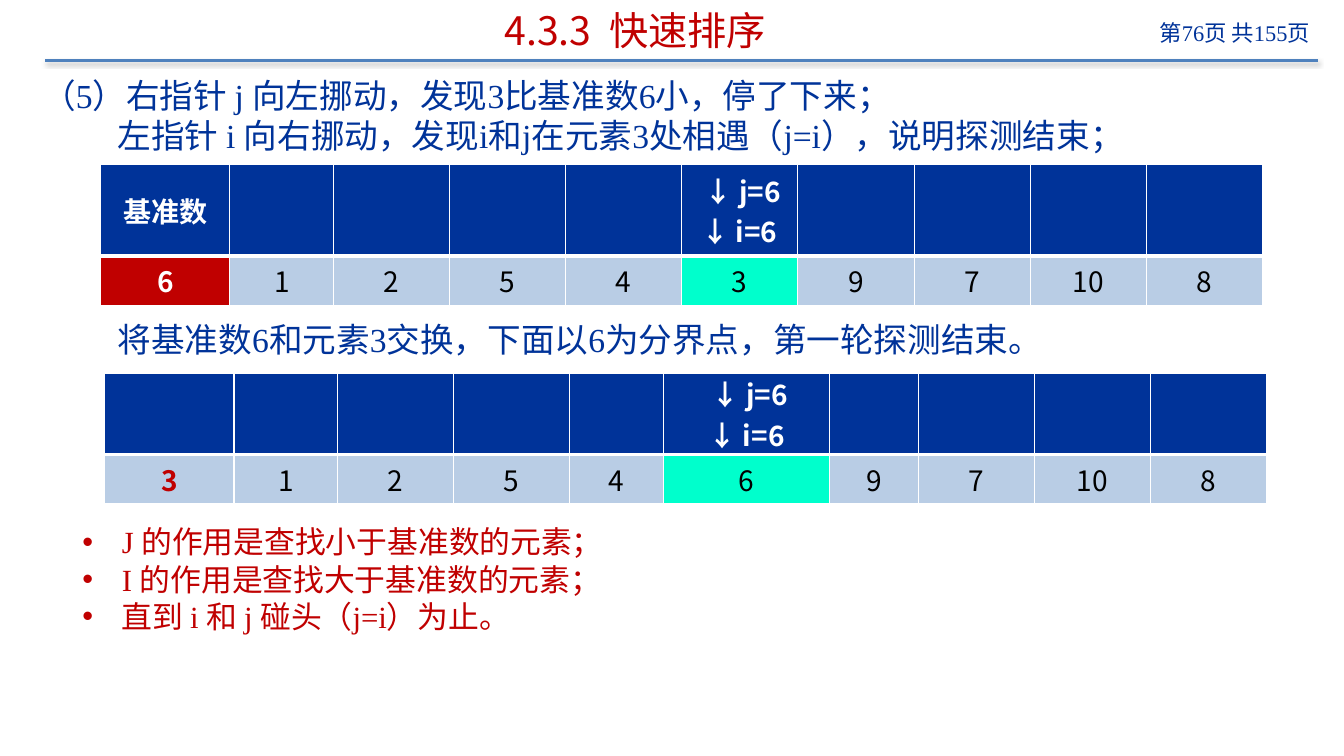
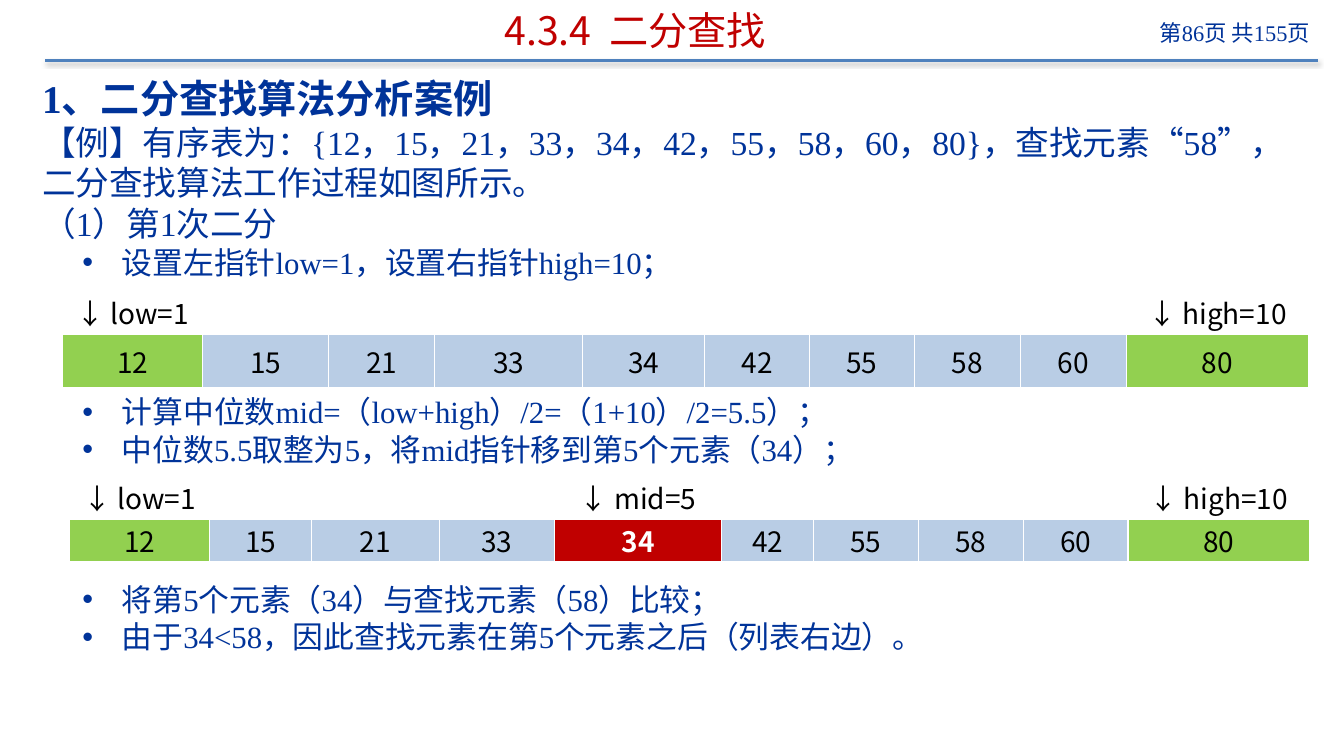
from lxml import etree
from pptx import Presentation
from pptx.dml.color import RGBColor
from pptx.enum.shapes import MSO_CONNECTOR
from pptx.enum.text import MSO_ANCHOR, PP_ALIGN
from pptx.oxml.ns import qn
from pptx.util import Emu, Pt

LEFT, CENTER, RIGHT = PP_ALIGN.LEFT, PP_ALIGN.CENTER, PP_ALIGN.RIGHT
TOP, MIDDLE = MSO_ANCHOR.TOP, MSO_ANCHOR.MIDDLE
STRAIGHT = MSO_CONNECTOR.STRAIGHT

EMU_PER_PX = 9144
SANS, SERIF = "Noto Sans CJK SC", "Times New Roman"
NAVY, RED, RULE_BLUE = "003399", "C00000", "4F81BD"
PALE, TEAL, GREEN = "B9CDE5", "00FFCC", "92D050"
WHITE, BLACK = "FFFFFF", "000000"
PAGE_COUNT = 155


def px(length):
    return Emu(length * EMU_PER_PX)


def rgb(color):
    return RGBColor.from_string(color)


def add_node(parent, tag, **attributes):
    node = etree.SubElement(parent, qn(tag))
    for name, value in attributes.items():
        node.set(name, str(value))
    return node


def write(paragraph, text, *, size=24, color=NAVY, font=SERIF, bold=False,
          align=LEFT, indent=0, hanging=0, bullet=False, space_before=0):
    """Fill one paragraph with text in the given format."""
    properties = paragraph._p.get_or_add_pPr()
    properties.set("marL", str(px(indent)))
    properties.set("indent", str(px(-hanging)))
    if bullet:
        add_node(properties, "a:buFont", typeface="Arial")
        add_node(properties, "a:buChar", char="•")
    paragraph.alignment = align
    paragraph.space_before = Pt(space_before)
    run = paragraph.add_run()
    run.text = text
    run.font.size = Pt(size)
    run.font.bold = bold
    run.font.color.rgb = rgb(color)
    run.font.name = font
    add_node(run._r.get_or_add_rPr(), "a:ea", typeface=SANS)


class Deck:
    """Holds the shared style and the slide being built."""

    HEADING = dict(size=28, bold=True)
    INDENTED = dict(indent=75)
    BULLET = dict(size=22, indent=79, hanging=39, bullet=True)
    RED_BULLET = dict(BULLET, color=RED)

    def __init__(self):
        self.presentation = Presentation()
        self.presentation.slide_width = px(1333)
        self.presentation.slide_height = px(750)
        self.slide = None

    def new_slide(self, title, page):
        layout = self.presentation.slide_layouts[6]
        self.slide = self.presentation.slides.add_slide(layout)
        self.rule(45, 60, 1307)
        self.text(1083, 14, 226, 45, [(f"第{page}页 共{PAGE_COUNT}页",
                                       dict(size=16, align=RIGHT))])
        self.text(77, 2, 1106, 56, [(title, dict(size=28, color=RED, font=SANS,
                                                 align=CENTER))], MIDDLE)

    def rule(self, left, top, right):
        line = self.slide.shapes.add_connector(
            STRAIGHT, px(left), px(top), px(right), px(top))
        line.line.color.rgb = rgb(RULE_BLUE)
        line.line.width = Pt(1.5)
        effects = add_node(line._element.spPr, "a:effectLst")
        shadow = add_node(effects, "a:outerShdw", blurRad=Pt(3.1), dist=Pt(1.6),
                          dir=5400000, rotWithShape=0)
        shade = add_node(shadow, "a:srgbClr", val=BLACK)
        add_node(shade, "a:alpha", val=38000)

    def text(self, left, top, width, height, lines, anchor=TOP):
        box = self.slide.shapes.add_textbox(px(left), px(top), px(width), px(height))
        frame = box.text_frame
        frame.word_wrap = True
        frame.vertical_anchor = anchor
        for index, (content, style) in enumerate(lines):
            paragraph = frame.add_paragraph() if index else frame.paragraphs[0]
            write(paragraph, content, space_before=0.3 if index else 0, **style)

    def body(self, top, height, lines):
        self.text(32, top, 1274, height, lines)

    def cell(self, cell, text, fill, color, bold, bottom):
        cell.margin_left = cell.margin_right = px(7)
        cell.margin_top = cell.margin_bottom = 0
        cell.vertical_anchor = MIDDLE
        properties = cell._tc.get_or_add_tcPr()
        for side, width in (("L", 1), ("R", 1), ("T", 1), ("B", bottom)):
            border = add_node(properties, f"a:ln{side}", w=Pt(width))
            add_node(add_node(border, "a:solidFill"), "a:srgbClr", val=WHITE)
        cell.fill.solid()
        cell.fill.fore_color.rgb = rgb(fill)
        frame = cell.text_frame
        for index, line in enumerate(text.splitlines()):
            paragraph = frame.add_paragraph() if index else frame.paragraphs[0]
            write(paragraph, line, size=20, color=color, font=SANS, bold=bold,
                  align=CENTER)

    def array(self, left, top, widths, heights, values, pointers, marks,
              header=(WHITE, BLACK, False)):
        """Pointer row over value row; marks give a column its (fill, colour, bold)."""
        table = self.slide.shapes.add_table(
            2, len(widths), px(left), px(top),
            px(sum(widths)), px(sum(heights))).table
        table.first_row = table.horz_banding = False
        for row, height in zip(table.rows, heights):
            row.height = px(height)
        for index, (width, value) in enumerate(zip(widths, values)):
            table.columns[index].width = px(width)
            self.cell(table.cell(0, index), pointers.get(index, ""), *header, 3)
            mark = marks.get(index, (PALE, BLACK, False))
            self.cell(table.cell(1, index), str(value), *mark, 1)


def build_quick_sort(deck):
    deck.new_slide("4.3.3  快速排序", 76)
    header = (NAVY, WHITE, True)
    meeting = " ↓ j=6\n↓ i=6"
    met = (TEAL, BLACK, False)

    # Pointers meet
    deck.body(69, 92, [
        ("（5）右指针 j 向左挪动，发现3比基准数6小，停了下来；", {}),
        ("左指针 i 向右挪动，发现i和j在元素3处相遇（j=i），说明探测结束；",
         deck.INDENTED),
    ])
    deck.array(100, 163, [128, 103, 115, 115, 115, 115, 116, 115, 115, 115],
               [91, 49], [6, 1, 2, 5, 4, 3, 9, 7, 10, 8],
               {0: "基准数", 5: meeting}, {0: (RED, WHITE, True), 5: met}, header)

    # Pivot swapped
    deck.body(311, 51, [
        ("将基准数6和元素3交换，下面以6为分界点，第一轮探测结束。", deck.INDENTED),
    ])
    deck.array(104, 370, [128, 103, 115, 115, 93, 165, 88, 115, 115, 115],
               [81, 49], [3, 1, 2, 5, 4, 6, 9, 7, 10, 8],
               {5: meeting}, {0: (PALE, RED, True), 5: met}, header)

    # Summary
    deck.body(514, 122, [(line, deck.RED_BULLET) for line in (
        "J 的作用是查找小于基准数的元素；",
        "I 的作用是查找大于基准数的元素；",
        "直到 i 和 j 碰头（j=i）为止。",
    )])


def build_binary_search(deck):
    deck.new_slide("4.3.4  二分查找", 86)
    numbers = [12, 15, 21, 33, 34, 42, 55, 58, 60, 80]
    end = (GREEN, BLACK, False)
    pointers, marks = {0: "↓ low=1", 9: "↓ high=10"}, {0: end, 9: end}

    # Example and starting pointers
    deck.body(69, 215, [
        ("1、二分查找算法分析案例", deck.HEADING),
        ("【例】有序表为：{12，15，21，33，34，42，55，58，60，80}，"
         "查找元素“58”，二分查找算法工作过程如图所示。", {}),
        ("（1）第1次二分", {}),
        ("设置左指针low=1，设置右指针high=10；", deck.BULLET),
    ])
    deck.array(62, 288, [139, 125, 105, 147, 121, 104, 104, 105, 105, 181],
               [43, 54], numbers, pointers, marks)

    # Middle position
    deck.body(385, 85, [(line, deck.BULLET) for line in (
        "计算中位数mid=（low+high）/2=（1+10）/2=5.5）；",
        "中位数5.5取整为5，将mid指针移到第5个元素（34）；",
    )])
    deck.array(69, 472, [139, 101, 127, 114, 166, 91, 104, 104, 104, 180],
               [42, 43], numbers, {**pointers, 4: "↓ mid=5"},
               {**marks, 4: (RED, WHITE, True)})

    # Comparison
    deck.body(571, 85, [(line, deck.BULLET) for line in (
        "将第5个元素（34）与查找元素（58）比较；",
        "由于34<58，因此查找元素在第5个元素之后（列表右边）。",
    )])


def main():
    deck = Deck()
    build_quick_sort(deck)
    build_binary_search(deck)
    deck.presentation.save("out.pptx")


if __name__ == "__main__":
    main()
